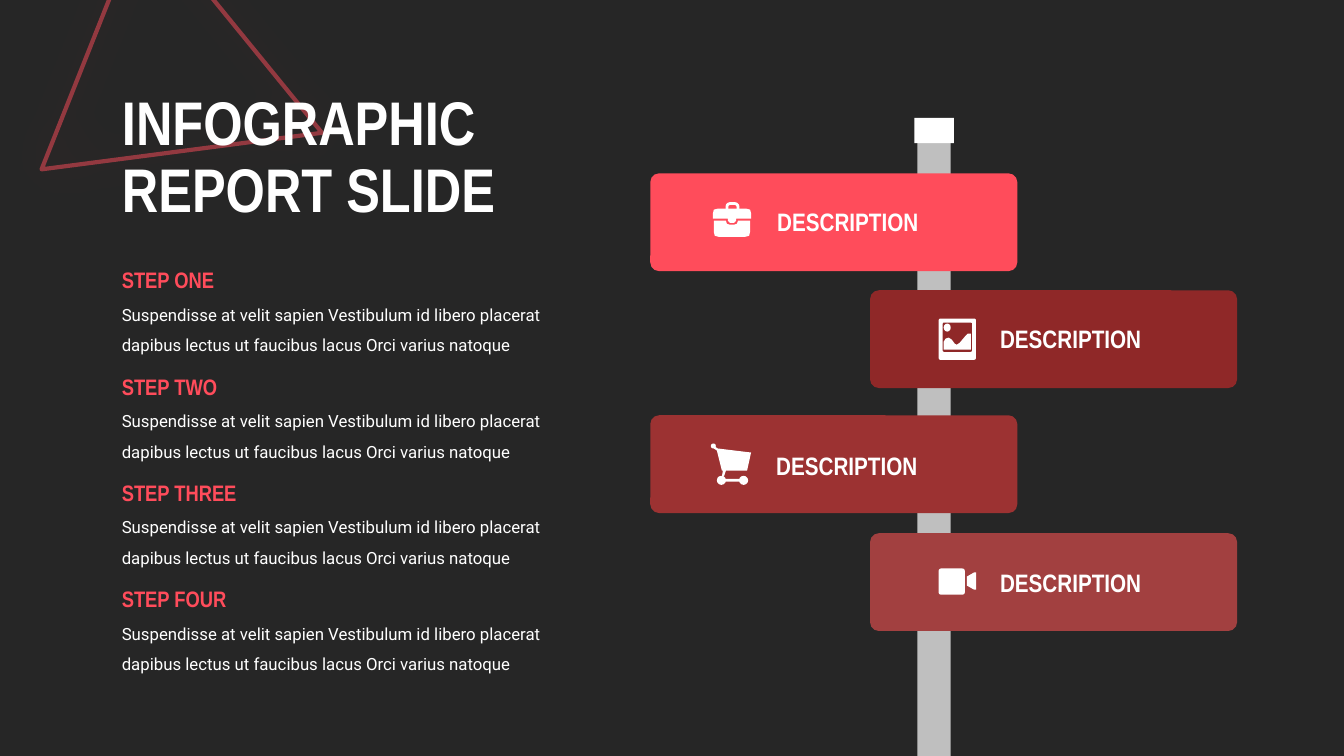
from lxml.etree import SubElement
from pptx import Presentation
from pptx.dml.color import RGBColor
from pptx.enum.shapes import MSO_SHAPE
from pptx.enum.text import MSO_ANCHOR, MSO_AUTO_SIZE, PP_ALIGN
from pptx.oxml.ns import qn
from pptx.util import Inches, Pt

COLORS = {
    "background": "262626", "white": "FFFFFF", "pole": "BFBFBF", "accent": "FF4C5B",
    "maroon": "8F2828", "brick": "9C3232", "rust": "A24040",
}
HEADING, BODY = "Arial Narrow", "Roboto"
STEP_TEXT = ("Suspendisse at velit sapien Vestibulum id libero placerat "
             "dapibus lectus ut faucibus lacus Orci varius natoque")
STEPS = [("STEP ONE", 2.59), ("STEP TWO", 3.65), ("STEP THREE", 4.7), ("STEP FOUR", 5.76)]
SIGNS = [
    (6.45, 1.72, "accent", 7.61, 2.0),
    (8.63, 2.88, "maroon", 9.82, 3.16),
    (6.45, 4.12, "brick", 7.6, 4.42),
    (8.63, 5.29, "rust", 9.82, 5.58),
]
BAG_LID = [
    (7.07, 2.12), (7.08, 2.08), (7.12, 2.07), (7.4, 2.07), (7.44, 2.08), (7.45, 2.12),
    (7.45, 2.17), (7.3, 2.17), (7.3, 2.19), (7.28, 2.21), (7.24, 2.21), (7.22, 2.19),
    (7.22, 2.17), (7.07, 2.17),
]
BAG_BASE = [
    (7.08, 2.19), (7.2, 2.19), (7.21, 2.22), (7.24, 2.23), (7.28, 2.23), (7.31, 2.22),
    (7.32, 2.19), (7.44, 2.19), (7.44, 2.3), (7.43, 2.34), (7.39, 2.35), (7.13, 2.35),
    (7.09, 2.34), (7.08, 2.3),
]
HILLS = [
    (9.36, 3.39), (9.38, 3.36), (9.41, 3.35), (9.44, 3.37), (9.47, 3.41), (9.49, 3.42),
    (9.52, 3.4), (9.57, 3.34), (9.6, 3.31), (9.63, 3.31), (9.63, 3.47), (9.36, 3.47),
]
BASKET = [
    (7.08, 4.45), (7.09, 4.43), (7.12, 4.45), (7.45, 4.49), (7.41, 4.67), (7.2, 4.67),
    (7.18, 4.73), (7.16, 4.73), (7.17, 4.67), (7.16, 4.67), (7.11, 4.47),
]
LENS = [(9.59, 5.72), (9.66, 5.68), (9.68, 5.68), (9.68, 5.85), (9.66, 5.85), (9.59, 5.81)]


class SlideBuilder:
    """Holds the palette and the slide, and draws each kind of element."""

    def __init__(self, slide, colors):
        self.slide = slide
        self.colors = colors
        backdrop = slide.background.fill
        backdrop.solid()
        backdrop.fore_color.rgb = self.rgb("background")

    def rgb(self, color):
        return RGBColor.from_string(self.colors[color])

    def paint(self, element, color):
        element.shadow.inherit = False
        element.fill.solid()
        element.fill.fore_color.rgb = self.rgb(color)
        element.line.fill.background()

    def shape(self, kind, left, top, width, height, color, radius=0.0):
        element = self.slide.shapes.add_shape(
            kind, Inches(left), Inches(top), Inches(width), Inches(height))
        self.paint(element, color)
        if radius:
            element.adjustments[0] = radius
        return element

    def rounded(self, left, top, width, height, color, radius=0.09):
        return self.shape(MSO_SHAPE.ROUNDED_RECTANGLE, left, top, width, height, color, radius)

    def outline(self, element, color, width):
        element.fill.background()
        element.line.color.rgb = self.rgb(color)
        element.line.width = Pt(width)

    def polygon(self, points, color="white"):
        corners = [(Inches(x), Inches(y)) for x, y in points]
        builder = self.slide.shapes.build_freeform(*corners[0])
        builder.add_line_segments(corners[1:], close=True)
        self.paint(builder.convert_to_shape(), color)

    def run(self, paragraph, words, size, color, font, bold):
        run = paragraph.add_run()
        run.text = words
        run.font.size = Pt(size)
        run.font.name = font
        run.font.bold = bold
        run.font.color.rgb = self.rgb(color)

    def text(self, words, left, top, width, height, size, color="white",
             font=HEADING, bold=True, spacing=1.0):
        frame = self.slide.shapes.add_textbox(
            Inches(left), Inches(top), Inches(width), Inches(height)).text_frame
        frame.word_wrap = True
        paragraph = frame.paragraphs[0]
        paragraph.line_spacing = spacing
        self.run(paragraph, words, size, color, font, bold)

    def title(self, lines, left, top, width, height):
        heading = self.slide.shapes.title
        heading.left, heading.top = Inches(left), Inches(top)
        heading.width, heading.height = Inches(width), Inches(height)
        frame = heading.text_frame
        frame.auto_size = MSO_AUTO_SIZE.NONE
        frame.word_wrap = True
        frame.vertical_anchor = MSO_ANCHOR.MIDDLE
        paragraph = frame.paragraphs[0]
        paragraph.alignment = PP_ALIGN.LEFT
        paragraph.line_spacing = 0.9
        for index, line in enumerate(lines):
            if index:
                paragraph.add_line_break()
            self.run(paragraph, line, 44, "white", HEADING, True)

    def glowing_triangle(self, left, top, width, height, angle):
        triangle = self.shape(
            MSO_SHAPE.ISOSCELES_TRIANGLE, left, top, width, height, "accent")
        triangle.rotation = angle
        self.outline(triangle, "accent", 3)
        properties = triangle.element.spPr
        stroke = properties.find(".//" + qn("a:srgbClr"))
        SubElement(stroke, qn("a:alpha"), val="50000")
        glow = SubElement(properties.find(qn("a:effectLst")), qn("a:outerShdw"),
                          blurRad=str(Pt(35)), dist="0", dir="0", algn="ctr", rotWithShape="0")
        tint = SubElement(glow, qn("a:srgbClr"), val=self.colors["accent"])
        SubElement(tint, qn("a:alpha"), val="25000")
        self.slide.shapes.title.element.addprevious(triangle.element)

    def briefcase(self):
        handle = self.rounded(7.21, 2.02, 0.11, 0.1, "white", 0.3)
        self.outline(handle, "white", 2)
        self.polygon(BAG_LID)
        self.polygon(BAG_BASE)

    def photo(self):
        self.rounded(9.31, 3.16, 0.37, 0.41, "white", 0.05)
        self.rounded(9.35, 3.2, 0.29, 0.29, "maroon", 0.05)
        self.shape(MSO_SHAPE.OVAL, 9.36, 3.21, 0.07, 0.08, "white")
        self.polygon(HILLS)

    def cart(self):
        self.polygon(BASKET)
        self.shape(MSO_SHAPE.RECTANGLE, 7.16, 4.75, 0.21, 0.03, "white")
        for left, top, size in [(7.05, 4.4, 0.05), (7.11, 4.72, 0.09), (7.33, 4.72, 0.09)]:
            self.shape(MSO_SHAPE.OVAL, left, top, size, size, "white")

    def camera(self):
        self.rounded(9.31, 5.64, 0.26, 0.26, "white")
        self.polygon(LENS)


def main():
    deck = Presentation()
    deck.slide_width, deck.slide_height = Inches(13.33), Inches(7.5)
    page = SlideBuilder(deck.slides.add_slide(deck.slide_layouts[5]), COLORS)

    page.title(["INFOGRAPHIC", "REPORT SLIDE"], 1.11, 0.79, 5.62, 1.58)
    page.glowing_triangle(0.69, -0.36, 2.73, 2.45, 111.7)

    page.shape(MSO_SHAPE.RECTANGLE, 9.1, 1.32, 0.33, 6.18, "pole")
    page.shape(MSO_SHAPE.RECTANGLE, 9.07, 1.17, 0.39, 0.25, "white")
    for left, top, color, label_left, label_top in SIGNS:
        page.rounded(left, top, 3.64, 0.97, color)
        page.text("DESCRIPTION", label_left, label_top, 1.88, 0.4, 18)
    page.briefcase()
    page.photo()
    page.cart()
    page.camera()

    for step, top in STEPS:
        page.text(STEP_TEXT, 1.11, top + 0.28, 4.5, 0.67, 12, font=BODY, bold=False, spacing=1.5)
        page.text(step, 1.11, top, 2.45, 0.37, 16, "accent")

    deck.save("out.pptx")


if __name__ == "__main__":
    main()
